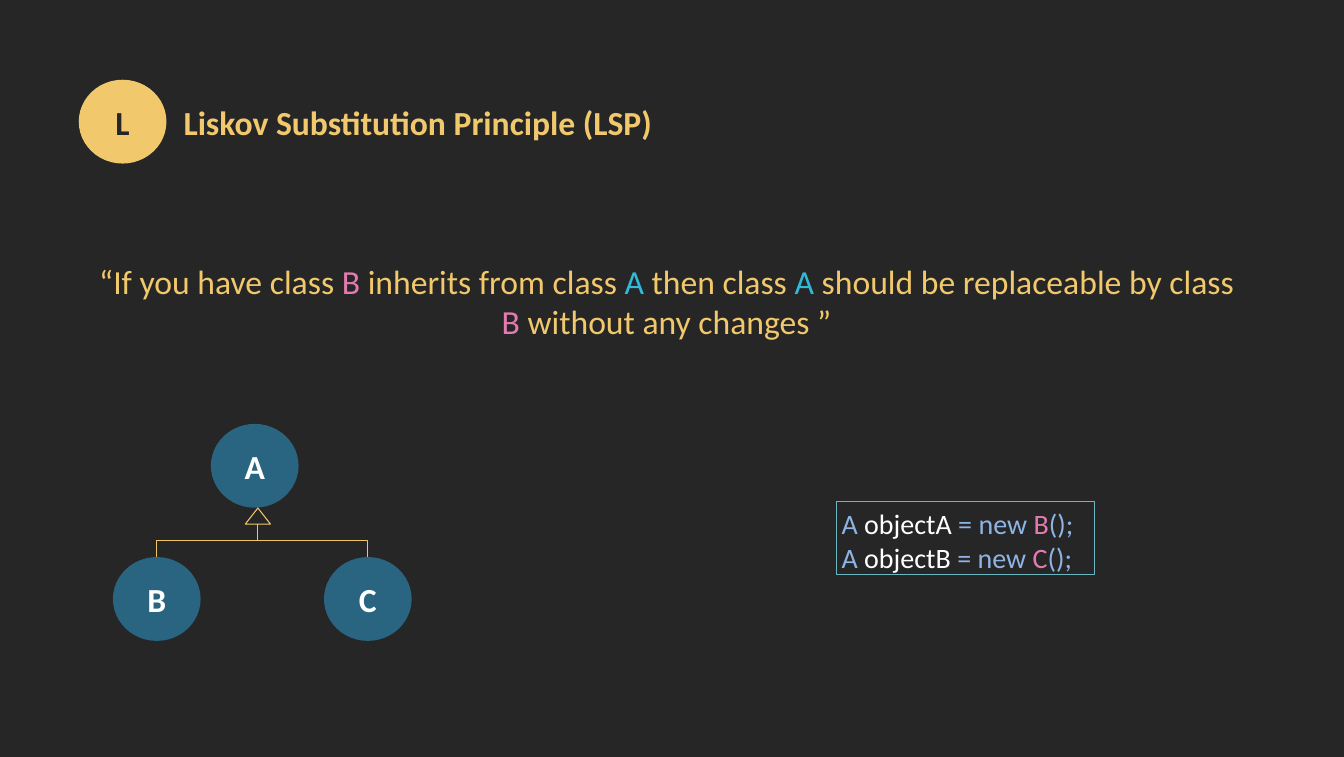
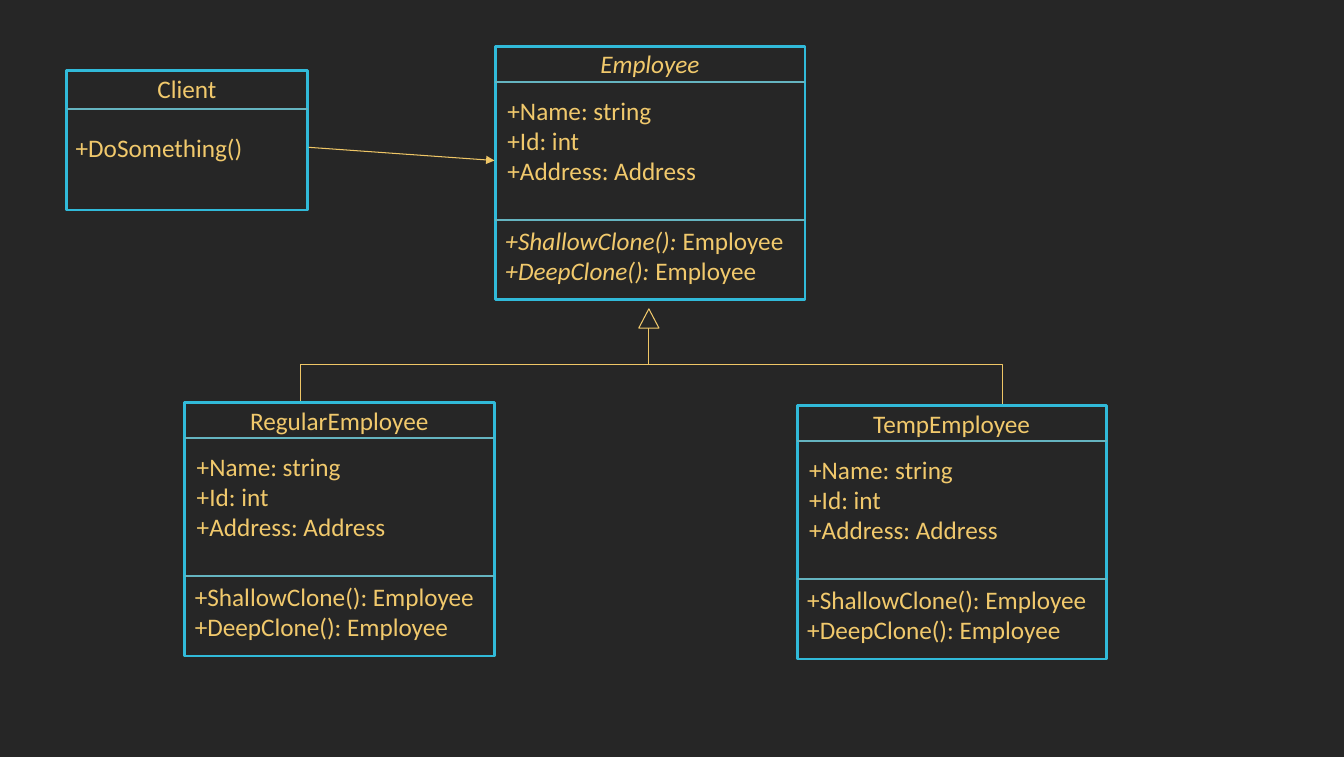
import pptx
import pptx.util
import pptx.dml.color
import pptx.enum.shapes
import pptx.enum.text
import pptx.oxml.ns
import lxml.etree

Pt = pptx.util.Pt
SHAPE = pptx.enum.shapes.MSO_SHAPE
ALIGN = pptx.enum.text.PP_ALIGN
ANCHOR = pptx.enum.text.MSO_ANCHOR
FONT = "Calibri"
COLOURS = {
    "ground": "262626",
    "gold": "F1C96C",
    "wire": "EFC666",
    "pink": "E37BB1",
    "cyan": "31BAD9",
    "rule": "65B4C0",
    "frame": "6AB7C2",
    "blue": "296480",
    "code": "8EB4E3",
    "white": "FFFFFF",
}
CIRCLE = (62.6, 59.8)
CLASS_SIZE = (221, 180.7)
FIELDS = ["+Name: string", "+Id: int", "+Address: Address"]
METHODS = ["+ShallowClone(): ", "+DeepClone(): "]


def rgb(name):
    """Return the named palette colour."""
    return pptx.dml.color.RGBColor.from_string(COLOURS[name])


def points(*lengths):
    """Convert lengths in points to slide units."""
    return [Pt(length) for length in lengths]


def write(shape, paras, size, align=ALIGN.LEFT, anchor=ANCHOR.TOP):
    """Fill a shape with paragraphs of (text, colour, style) spans."""
    frame = shape.text_frame
    frame.word_wrap = True
    frame.vertical_anchor = anchor
    frame.margin_left = frame.margin_right = Pt(3.6)
    frame.margin_top = frame.margin_bottom = Pt(3.6)
    for index, spans in enumerate(paras):
        para = frame.add_paragraph() if index else frame.paragraphs[0]
        para.alignment = align
        for text, colour, style in spans:
            span = para.add_run()
            span.text = text
            span.font.name = FONT
            span.font.size = Pt(size)
            span.font.bold = style == "bold"
            span.font.italic = style == "italic"
            span.font.color.rgb = rgb(colour)


def add_text(shapes, box, paras, size, align=ALIGN.LEFT):
    """Add a text box with the given paragraphs."""
    write(shapes.add_textbox(*points(*box)), paras, size, align)


def paint(shape, fill=None, line=None, width=0.75):
    """Set fill and outline of a shape, without shadow."""
    shape.shadow.inherit = False
    if fill:
        shape.fill.solid()
        shape.fill.fore_color.rgb = rgb(fill)
    else:
        shape.fill.background()
    if line:
        shape.line.color.rgb = rgb(line)
        shape.line.width = Pt(width)
    else:
        shape.line.fill.background()
    return shape


def add_preset(shapes, kind, box, **look):
    """Add a painted preset shape."""
    return paint(shapes.add_shape(kind, *points(*box)), **look)


def add_line(shapes, start, end, colour, width, arrow=False):
    """Add a straight line, with an arrowhead at its end if asked."""
    line = shapes.add_connector(
        pptx.enum.shapes.MSO_CONNECTOR.STRAIGHT, *points(*start, *end))
    line.line.color.rgb = rgb(colour)
    line.line.width = Pt(width)
    if arrow:
        head = lxml.etree.SubElement(
            line.line._get_or_add_ln(), pptx.oxml.ns.qn("a:tailEnd"))
        head.set("type", "triangle")
    properties = line._element.spPr
    lxml.etree.SubElement(properties, pptx.oxml.ns.qn("a:effectLst"))


def add_circle(shapes, place, letter, fill, colour):
    """Add a circle holding one bold letter."""
    circle = add_preset(shapes, SHAPE.OVAL, (*place, *CIRCLE), fill=fill)
    write(circle, [[(letter, colour, "bold")]], 24, ALIGN.CENTER, ANCHOR.MIDDLE)


def add_inheritance(shapes, arrow, children):
    """Join child points to a hollow arrow by elbow lines."""
    left, top, width, height = arrow
    add_preset(shapes, SHAPE.ISOSCELES_TRIANGLE, arrow, line="gold")
    centre, base = left + width / 2, top + height
    bend = (base + children[0][1]) / 2
    for x, y in children:
        outline = shapes.build_freeform(*points(centre, base))
        outline.add_line_segments(
            [points(centre, bend), points(x, bend), points(x, y)], close=False)
        paint(outline.convert_to_shape(), line="wire")


def add_class(page, box, title, sections):
    """Add a class box; sections hold rule height, text offset and lines."""
    shapes = page.shapes.add_group_shape().shapes
    left, top, width, height = box
    add_preset(shapes, SHAPE.RECTANGLE, box, line="cyan", width=2)
    add_text(shapes, (left + 3.6, top - 2, width - 7.6, 26), [[title]], 18,
             ALIGN.CENTER)
    for rule, (shift, drop), paras in sections:
        add_line(shapes, (left, top + rule), (left + width, top + rule),
                 "rule", 1.5)
        add_text(shapes, (left + shift, top + drop, width - 8, 24 * len(paras)),
                 paras, 18)


def add_employee(page, place, name, style="plain"):
    """Add an employee class; the style marks abstract members."""
    fields = [[(field, "gold", "plain")] for field in FIELDS]
    methods = [[(method, "gold", style), ("Employee", "gold", "plain")]
               for method in METHODS]
    add_class(page, (*place, *CLASS_SIZE), (name, "gold", style),
              [(25.2, (5, 31), fields), (123.8, (3.6, 123.8), methods)])


def add_heading(page, box, letter, title):
    """Add the letter badge and the title beside it."""
    left, top, width, height = box
    add_circle(page.shapes, (left, top), letter, "gold", "ground")
    add_text(page.shapes, (left + 71.2, top + 12.2, width - 71.2, height - 24.4),
             [[(title, "gold", "bold")]], 24)


def add_quote(page, box):
    """Add the principle as a centred quotation."""
    parts = [
        ("“If you have class ", "gold"), ("B", "pink"),
        (" inherits from class ", "gold"), ("A", "cyan"),
        (" then class ", "gold"), ("A", "cyan"),
        (" should be replaceable by class ", "gold"), ("B", "pink"),
        (" without any changes ”", "gold"),
    ]
    spans = [(text, colour, "plain") for text, colour in parts]
    add_text(page.shapes, box, [spans], 24, ALIGN.CENTER)


def add_tree(page, left, top):
    """Add parent A above its children B and C."""
    shapes = page.shapes.add_group_shape().shapes
    circles = {"A": (left + 69.9, top), "B": (left, top + 95),
               "C": (left + 150.6, top + 95)}
    for letter, place in circles.items():
        add_circle(shapes, place, letter, "blue", "white")
    ends = [(circles[child][0] + CIRCLE[0] / 2, top + 95) for child in "BC"]
    add_inheritance(shapes, (left + 94.4, top + 60, 18, 11.5), ends)


def add_code(page, box):
    """Add the framed code sample."""
    paras = [[("A ", "code", "plain"), (name, "white", "plain"),
              (" = new ", "code", "plain"), (kind, "pink", "plain"),
              ("();", "code", "plain")]
             for name, kind in [("objectA", "B"), ("objectB", "C")]]
    write(add_preset(page.shapes, SHAPE.RECTANGLE, box, line="frame"), paras, 20)


def build_principle(page):
    """Build the slide that states the principle."""
    add_heading(page, (56.2, 56.9, 460.7, 59.8), "L",
                "Liskov Substitution Principle (LSP)")
    add_quote(page, (59.8, 182.2, 831.6, 59.8))
    add_code(page, (596.9, 357.8, 184.3, 51.8))
    add_tree(page, 80.6, 302.4)


def build_diagram(page):
    """Build the class diagram slide."""
    add_employee(page, (568.8, 289.4), "TempEmployee")
    add_employee(page, (353.5, 33.1), "Employee", "italic")
    add_employee(page, (131.8, 287.3), "RegularEmployee")
    add_inheritance(page.shapes, (455.8, 220.3, 14.4, 13.7),
                    [(214.6, 286), (715.3, 288)])
    add_class(page, (47.5, 50.4, 172.1, 99.4), ("Client", "gold", "plain"),
              [(27.4, (2.9, 40.3), [[("+DoSomething()", "gold", "plain")]])])
    add_line(page.shapes, (220.3, 105.1), (352.8, 114.5), "wire", 0.75, True)


def main():
    """Build and save the deck."""
    deck = pptx.Presentation()
    deck.slide_width, deck.slide_height = points(959, 540)
    ground = deck.slide_master.background.fill
    ground.solid()
    ground.fore_color.rgb = rgb("ground")
    for build in (build_principle, build_diagram):
        build(deck.slides.add_slide(deck.slide_layouts[6]))
    deck.save("out.pptx")


if __name__ == "__main__":
    main()
